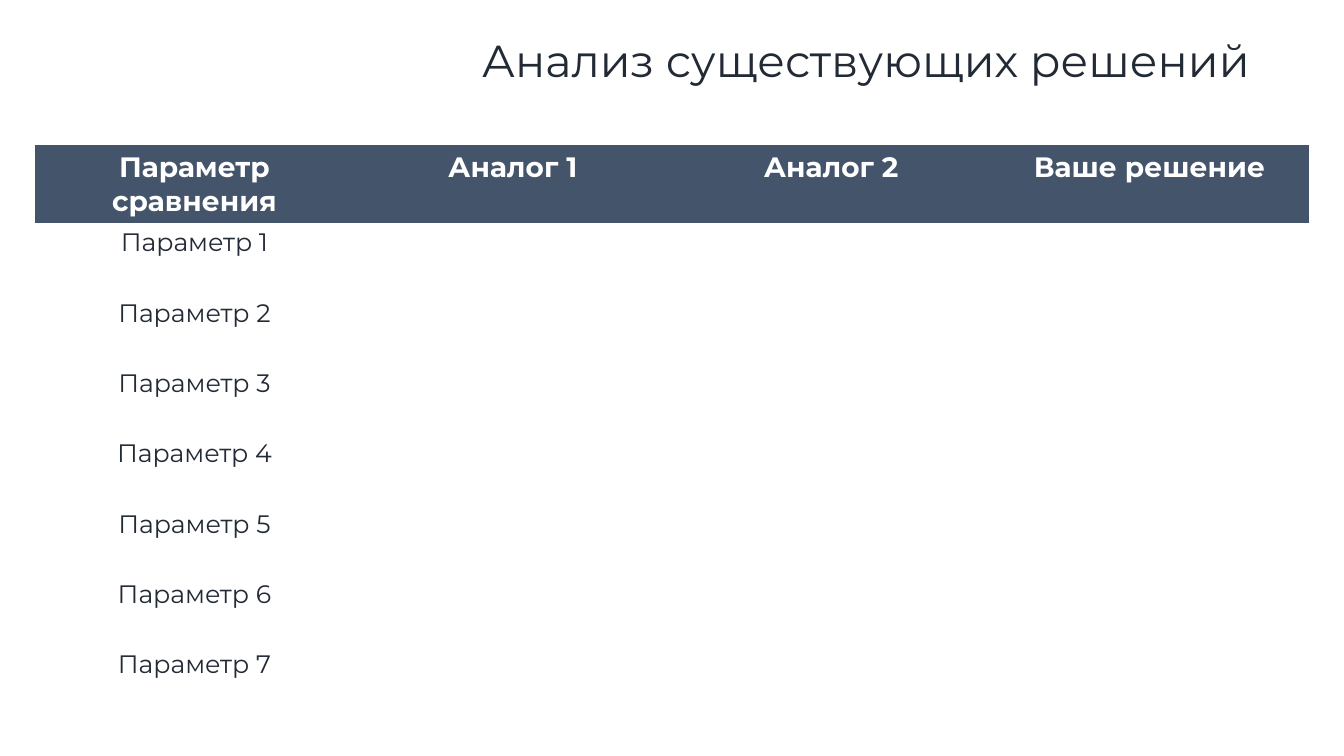
from pptx import Presentation, util as u
from pptx.dml.color import RGBColor
from pptx.enum import text as t

PX = u.Inches(1) // 100
FONT = "Montserrat"
DARK, SLATE, WHITE = "222A35", "44546A", "FFFFFF"
PLAIN_STYLE = "{2D5ABB26-0587-4C30-8999-92F81FD0307C}"
HEADERS = ["Параметр сравнения", "Аналог 1", "Аналог 2", "Ваше решение"]
PARAMETERS = [f"Параметр {number}" for number in range(1, 8)]


def color(value):
    """Turn a hex string into a colour."""
    return RGBColor.from_string(value)


def write(frame, content, size=18, fill=DARK, bold=False, align=t.PP_ALIGN.LEFT):
    """Write one formatted paragraph into a text frame."""
    paragraph = frame.paragraphs[0]
    paragraph.alignment = align
    run = paragraph.add_run()
    run.text = content
    run.font.name = FONT
    run.font.size = u.Pt(size)
    run.font.bold = bold
    run.font.color.rgb = color(fill)


def add_title(slide, left, top, width, height):
    """Place the slide title in its box."""
    shape = slide.shapes.add_textbox(left * PX, top * PX, width * PX, height * PX)
    frame = shape.text_frame
    frame.word_wrap = False
    frame.auto_size = t.MSO_AUTO_SIZE.SHAPE_TO_FIT_TEXT
    write(frame, "Анализ существующих решений", size=32)


def add_comparison(slide, left, top, width, height):
    """Place the comparison table with a header row and blank cells to fill in."""
    frame = slide.shapes.add_table(len(PARAMETERS) + 1, len(HEADERS),
                                   left * PX, top * PX, width * PX, height * PX)
    table = frame.table
    table.horz_banding = False
    for style in frame.element.xpath(".//a:tableStyleId"):
        style.text = PLAIN_STYLE
    for cell in table.iter_cells():
        cell.fill.background()
    for column, header in enumerate(HEADERS):
        cell = table.cell(0, column)
        cell.fill.solid()
        cell.fill.fore_color.rgb = color(SLATE)
        write(cell.text_frame, header, size=20, fill=WHITE, bold=True,
              align=t.PP_ALIGN.CENTER)
    for row, parameter in enumerate(PARAMETERS, start=1):
        write(table.cell(row, 0).text_frame, parameter, align=t.PP_ALIGN.CENTER)


def main():
    """Build and save the presentation."""
    presentation = Presentation()
    presentation.slide_width = 1333 * PX
    presentation.slide_height = 750 * PX
    slide = presentation.slides.add_slide(presentation.slide_layouts[6])
    add_title(slide, 468, 28, 845, 64)
    add_comparison(slide, 35, 144, 1263, 558)
    presentation.save("out.pptx")


if __name__ == "__main__":
    main()
